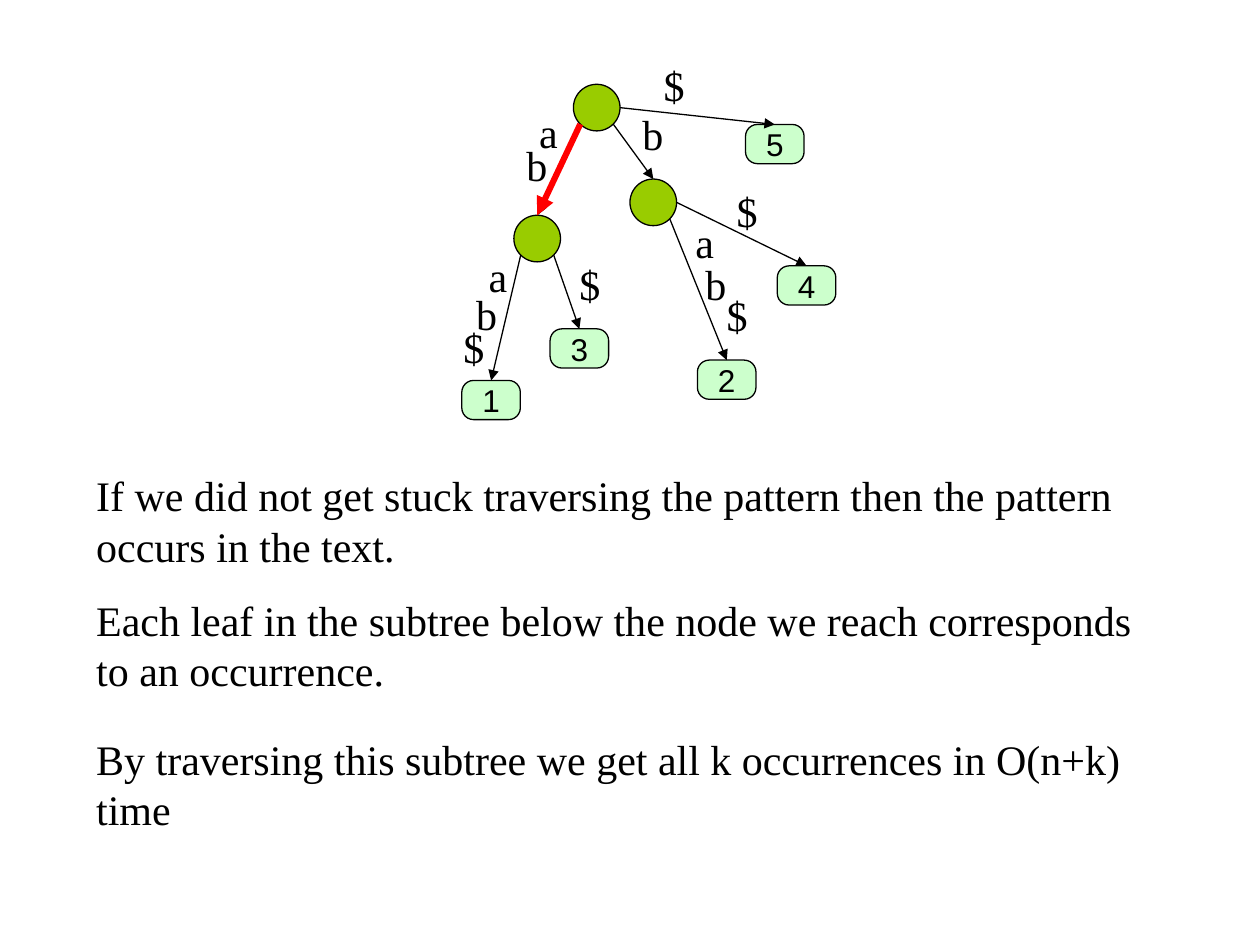
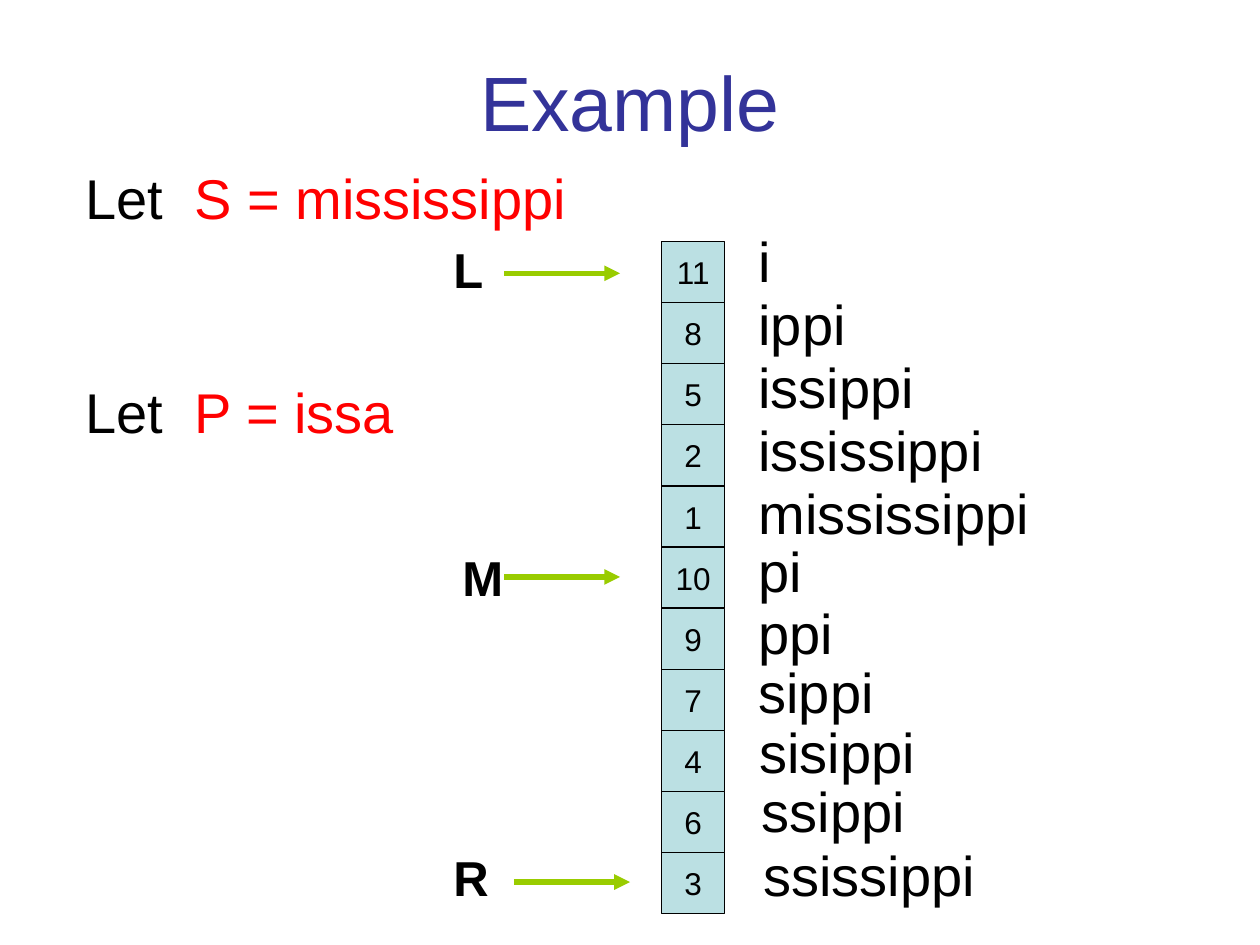
from math import sqrt

from lxml.etree import SubElement
from pptx import Presentation
from pptx.dml.color import RGBColor
from pptx.enum.shapes import MSO_CONNECTOR as CONNECTOR, MSO_SHAPE as SHAPE
from pptx.enum.text import MSO_ANCHOR as ANCHOR, MSO_AUTO_SIZE as AUTO_SIZE, PP_ALIGN as ALIGN
from pptx.oxml.ns import qn
from pptx.util import Cm, Pt

BLACK, RED, GREEN = "000000", "FF0000", "99CC00"
MINT, PALE_BLUE, TITLE_BLUE = "CCFFCC", "BBE0E3", "333399"
SANS, SERIF = "Arial", "Times New Roman"

NODE_SIZE = 0.94
LEAF_W, LEAF_H = 1.18, 0.79

# Tree vertices: centre x and top y
NODES = {"root": (12.03, 1.7), "ab": (10.83, 4.34), "b": (13.17, 3.61)}
LEAVES = {"1": (9.9, 7.67), "2": (14.65, 7.26), "3": (11.68, 6.63),
          "4": (16.26, 5.36), "5": (15.62, 2.51)}
# Parent, the side of it where the edge leaves, child
EDGES = [("root", "left", "ab"), ("root", "low right", "b"), ("root", "right", "5"),
         ("ab", "left", "1"), ("ab", "low right", "3"),
         ("b", "low right", "2"), ("b", "right", "4")]
EDGE_LETTERS = [("a", 10.62, 2.03), ("b", 10.36, 2.69), ("b", 12.7, 2.06), ("$", 13.13, 1.07),
                ("a", 9.6, 4.93), ("b", 9.35, 5.69), ("$", 9.09, 6.35), ("$", 11.43, 5.08),
                ("a", 13.77, 4.24), ("b", 13.97, 5.08), ("$", 14.4, 5.72), ("$", 14.6, 3.61)]
CONCLUSIONS = [
    (9.35, "If we did not get stuck traversing the pattern then the pattern occurs in the text."),
    (11.86, "Each leaf in the subtree below the node we reach corresponds to an occurrence."),
    (14.66, "By traversing this subtree we get all k occurrences in O(n+k) time"),
]

ARRAY_LEFT, ARRAY_TOP, ARRAY_HEIGHT, CELL_W = 13.34, 4.87, 13.55, 1.27
# Start position, suffix, left and top of the suffix
SUFFIXES = [("11", "i", 15.04, 4.45), ("8", "ippi", 15.04, 5.72), ("5", "issippi", 15.04, 6.99),
            ("2", "ississippi", 15.04, 8.26), ("1", "mississippi", 15.04, 9.53),
            ("10", "pi", 15.04, 10.69), ("9", "ppi", 15.04, 11.94), ("7", "sippi", 15.04, 13.13),
            ("4", "sisippi", 15.06, 14.33), ("6", "ssippi", 15.11, 15.52),
            ("3", "ssissippi", 15.14, 16.81)]
# Letter, its left and top, start x and y of its arrow
POINTERS = [("L", 8.89, 4.7, 10.16, 5.51), ("M", 9.07, 10.92, 10.16, 11.63),
            ("R", 8.89, 16.97, 10.36, 17.78)]
POINTER_LENGTH = 2.34


def rgb(color):
    return RGBColor.from_string(color)


def add_run(p, text, size, font=SANS, color=BLACK, bold=False):
    r = p.add_run()
    r.text = text
    r.font.name, r.font.size, r.font.bold = font, Pt(size), bold
    r.font.color.rgb = rgb(color)


def add_text(slide, left, top, width, height, runs, size, font=SANS, bold=False):
    """Add a one-paragraph text box; runs holds (text, color) pairs."""
    tf = slide.shapes.add_textbox(Cm(left), Cm(top), Cm(width), Cm(height)).text_frame
    tf.word_wrap = True
    for text, color in runs:
        add_run(tf.paragraphs[0], text, size, font, color, bold)


def add_box(shapes, kind, left, top, width, height, fill, text=""):
    sp = shapes.add_shape(kind, Cm(left), Cm(top), Cm(width), Cm(height))
    sp.shadow.inherit = False
    sp.fill.solid()
    sp.fill.fore_color.rgb = rgb(fill)
    sp.line.color.rgb = rgb(BLACK)
    sp.line.width = Pt(0.75)
    if text:
        tf = sp.text_frame
        tf.word_wrap = False
        tf.vertical_anchor = ANCHOR.MIDDLE
        tf.paragraphs[0].alignment = ALIGN.CENTER
        add_run(tf.paragraphs[0], text, 18)
    return sp


def add_arrow(slide, x1, y1, x2, y2, color=BLACK, width=0.75):
    line = slide.shapes.add_connector(CONNECTOR.STRAIGHT, Cm(x1), Cm(y1), Cm(x2), Cm(y2))
    line.line.color.rgb = rgb(color)
    line.line.width = Pt(width)
    sp_pr = line._element.spPr
    SubElement(sp_pr.get_or_add_ln(), qn("a:tailEnd"), type="triangle")
    SubElement(sp_pr, qn("a:effectLst"))
    return line


def add_node(slide, x, top):
    return add_box(slide.shapes, SHAPE.OVAL, x - NODE_SIZE / 2, top, NODE_SIZE, NODE_SIZE, GREEN)


def add_leaf(slide, x, top, label):
    leaf = add_box(slide.shapes, SHAPE.ROUNDED_RECTANGLE, x - LEAF_W / 2, top,
                   LEAF_W, LEAF_H, MINT, label)
    leaf.adjustments[0] = 0.3
    return leaf


def add_edge(slide, vertices, parent, side, child, **style):
    """Draw an arrow from the rim of a node to the top of its child."""
    radius = NODE_SIZE / 2
    diagonal = radius / sqrt(2)
    dx, dy = {"left": (-diagonal, diagonal), "low right": (diagonal, diagonal),
              "right": (radius, 0)}[side]
    x, top = NODES[parent]
    end = (NODES | LEAVES)[child]
    edge = add_arrow(slide, x + dx, top + radius + dy, *end, **style)
    edge.end_connect(vertices[child], 0)


def add_title(slide, text):
    title = slide.shapes.title
    title.left, title.top, title.width, title.height = Cm(1.27), Cm(0.43), Cm(22.86), Cm(3.18)
    tf = title.text_frame
    tf.auto_size = AUTO_SIZE.NONE
    tf.vertical_anchor = ANCHOR.MIDDLE
    tf.paragraphs[0].alignment = ALIGN.CENTER
    add_run(tf.paragraphs[0], text, 44, color=TITLE_BLUE)


def build_suffix_tree(prs):
    slide = prs.slides.add_slide(prs.slide_layouts[6])
    vertices = {name: add_node(slide, *place) for name, place in NODES.items()}
    for label, place in LEAVES.items():
        vertices[label] = add_leaf(slide, *place, label)
    for edge in EDGES:
        add_edge(slide, vertices, *edge)
    add_edge(slide, vertices, "root", "left", "ab", color=RED, width=3.5)
    for letter, left, top in EDGE_LETTERS:
        add_text(slide, left, top, 1.07, 1.27, [(letter, BLACK)], 24, SERIF)
    for top, sentence in CONCLUSIONS:
        add_text(slide, 1.69, top, 21.59, 2.29, [(sentence, BLACK)], 24, SERIF)


def build_suffix_array(prs):
    slide = prs.slides.add_slide(prs.slide_layouts[5])
    add_title(slide, "Example")
    for top, definition in [(3.18, "S = mississippi"), (7.49, "P = issa")]:
        add_text(slide, 1.47, top, 11.86, 1.63, [("Let  ", BLACK), (definition, RED)], 32)

    cells = slide.shapes.add_group_shape().shapes
    cell_h = ARRAY_HEIGHT / len(SUFFIXES)
    for i, (position, suffix, left, top) in enumerate(SUFFIXES):
        add_box(cells, SHAPE.RECTANGLE, ARRAY_LEFT, ARRAY_TOP + i * cell_h,
                CELL_W, cell_h, PALE_BLUE, position)
        add_text(slide, left, top, 9.53, 1.63, [(suffix, BLACK)], 32)

    for letter, left, top, x, y in POINTERS:
        add_arrow(slide, x, y, x + POINTER_LENGTH, y, GREEN, 3)
        add_text(slide, left, top, 1.47, 1.45, [(letter, BLACK)], 28, bold=True)


def main():
    prs = Presentation()
    prs.slide_width, prs.slide_height = Cm(25.4), Cm(19.05)
    build_suffix_tree(prs)
    build_suffix_array(prs)
    prs.save("out.pptx")


if __name__ == "__main__":
    main()
